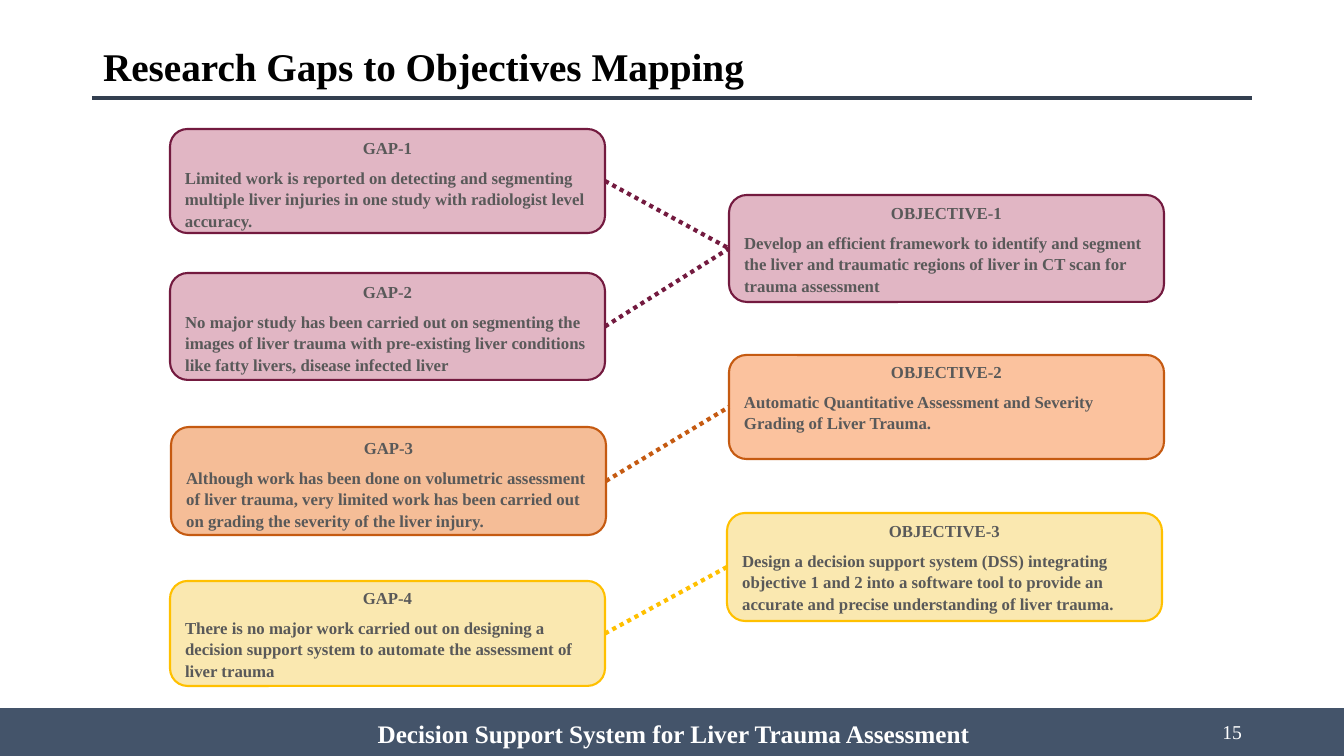
from lxml.etree import SubElement
from pptx import Presentation
from pptx.dml.color import RGBColor
from pptx.enum.dml import MSO_LINE
from pptx.enum.shapes import MSO_CONNECTOR, MSO_SHAPE
from pptx.enum.text import MSO_ANCHOR as ANCHOR, PP_ALIGN as ALIGN
from pptx.oxml.ns import qn
from pptx.util import Emu, Pt

EMU_PER_PX = 914400 / 100.8
FONT = "Times New Roman"
BLACK = RGBColor(0x00, 0x00, 0x00)
WHITE = RGBColor(0xFF, 0xFF, 0xFF)
GREY = RGBColor(0x59, 0x59, 0x59)
SLATE = RGBColor(0x44, 0x54, 0x6A)
NAVY = RGBColor(0x33, 0x3F, 0x50)
ROSE = RGBColor(0xC4, 0x6F, 0x8A)
WINE = RGBColor(0x73, 0x1A, 0x3F)
ORANGE = RGBColor(0xED, 0x7D, 0x31)
APRICOT = RGBColor(0xF9, 0x87, 0x3E)
RUST = RGBColor(0xC5, 0x5A, 0x11)
SAND = RGBColor(0xF6, 0xD3, 0x62)
GOLD = RGBColor(0xFF, 0xC0, 0x00)

CARD_WIDTH = 435
CARDS = {
    "GAP-1": (170, 129, 104, 2, ROSE, WINE,
              "Limited work is reported on detecting and segmenting multiple liver "
              "injuries in one study with radiologist level accuracy."),
    "GAP-2": (170, 273, 107, 2, ROSE, WINE,
              "No major study has been carried out on segmenting the images of liver trauma "
              "with pre-existing liver conditions like fatty livers, disease infected liver"),
    "GAP-3": (171, 427, 108, 4, ORANGE, RUST,
              "Although work has been done on volumetric assessment of liver trauma, very "
              "limited work has been carried out on grading the severity of the liver injury."),
    "GAP-4": (170, 581, 105, 0, SAND, GOLD,
              "There is no major work carried out on designing a decision support system "
              "to automate the assessment of liver trauma"),
    "OBJECTIVE-1": (729, 195, 107, 1, ROSE, WINE,
                    "Develop an efficient framework to identify and segment the liver and "
                    "traumatic regions of liver in CT scan for trauma assessment"),
    "OBJECTIVE-2": (729, 355, 104, 0, APRICOT, RUST,
                    "Automatic Quantitative Assessment and Severity Grading of Liver Trauma."),
    "OBJECTIVE-3": (727, 513, 108, 1, SAND, GOLD,
                    "Design a decision support system (DSS) integrating objective 1 and 2 into a "
                    "software tool to provide an accurate and precise understanding of liver trauma."),
}
LINKS = [("GAP-1", "OBJECTIVE-1", WINE), ("GAP-2", "OBJECTIVE-1", WINE),
         ("GAP-3", "OBJECTIVE-2", RUST), ("GAP-4", "OBJECTIVE-3", GOLD)]


def px(*lengths):
    """Turn pixel lengths into a list of EMU lengths."""
    return [Emu(round(length * EMU_PER_PX)) for length in lengths]


def add_run(paragraph, text, size, color, bold=True):
    """Add one formatted run to a paragraph."""
    run = paragraph.add_run()
    run.text = text
    font = run.font
    font.name, font.size, font.bold = FONT, Pt(size), bold
    font.color.rgb = color


def add_title(slide, text):
    """Place and fill the title placeholder."""
    title = slide.shapes.title
    title.left, title.top, title.width, title.height = px(93, 37, 857, 58)
    title.text_frame.vertical_anchor = ANCHOR.MIDDLE
    paragraph = title.text_frame.paragraphs[0]
    paragraph.alignment = ALIGN.LEFT
    add_run(paragraph, text, 28, BLACK)


def add_label(slide, box, text, size, alignment, bold):
    """Add a single white line of text on the footer bar."""
    frame = slide.shapes.add_textbox(*px(*box)).text_frame
    frame.word_wrap = True
    frame.vertical_anchor = ANCHOR.MIDDLE
    frame.paragraphs[0].alignment = alignment
    add_run(frame.paragraphs[0], text, size, WHITE, bold)


def add_panel(slide, kind, box, fill, border, border_width):
    """Add a filled and outlined shape without a shadow."""
    shape = slide.shapes.add_shape(kind, *px(*box))
    shape.shadow.inherit = False
    shape.fill.solid()
    shape.fill.fore_color.rgb = fill
    shape.line.color.rgb = border
    shape.line.width = Pt(border_width)
    return shape


def add_card(slide, heading, left, top, height, inset, fill, border, body):
    """Add a half-transparent rounded card with a heading and a body."""
    card = add_panel(slide, MSO_SHAPE.ROUNDED_RECTANGLE,
                     (left, top, CARD_WIDTH, height), fill, border, 1.5)
    color = card.fill._xPr.find(f"{qn('a:solidFill')}/{qn('a:srgbClr')}")
    SubElement(color, qn("a:alpha"), val="50000")
    frame = card.text_frame
    frame.word_wrap = True
    frame.vertical_anchor = ANCHOR.TOP
    frame.margin_top, frame.margin_bottom = px(inset, 0)
    lines = [(frame.paragraphs[0], heading, ALIGN.CENTER),
             (frame.add_paragraph(), body, ALIGN.LEFT)]
    for paragraph, text, alignment in lines:
        paragraph.alignment = alignment
        paragraph.line_spacing = 1.07
        paragraph.space_after = Pt(6)
        add_run(paragraph, text, 12, GREY)
    return card


def add_line(slide, ends, color):
    """Add a straight line, 3 points wide, without a shadow."""
    line = slide.shapes.add_connector(MSO_CONNECTOR.STRAIGHT, *px(*ends))
    line.line.color.rgb = color
    line.line.width = Pt(3)
    SubElement(line._element.spPr, qn("a:effectLst"))
    return line


def add_link(slide, gap, objective, color):
    """Join the right side of a gap to the left side of an objective."""
    link = add_line(slide, (0, 0, 0, 0), color)
    link.line.dash_style = MSO_LINE.ROUND_DOT
    link.begin_connect(gap, 3)
    link.end_connect(objective, 1)


def main():
    """Build the slide and save it."""
    presentation = Presentation()
    presentation.slide_width, presentation.slide_height = px(1344, 756)
    slide = presentation.slides.add_slide(presentation.slide_layouts[5])
    add_line(slide, (92, 98, 1252, 98), NAVY)
    add_panel(slide, MSO_SHAPE.RECTANGLE, (0, 709, 1344, 47), SLATE, SLATE, 1)
    add_title(slide, "Research Gaps to Objectives Mapping")
    add_label(slide, (950, 712, 302, 40), "15", 14, ALIGN.RIGHT, False)
    add_label(slide, (350, 713, 647, 40),
              "Decision Support System for Liver Trauma Assessment", 18, ALIGN.CENTER, True)
    cards = {heading: add_card(slide, heading, *details) for heading, details in CARDS.items()}
    for gap, objective, color in LINKS:
        add_link(slide, cards[gap], cards[objective], color)
    presentation.save("out.pptx")


if __name__ == "__main__":
    main()
